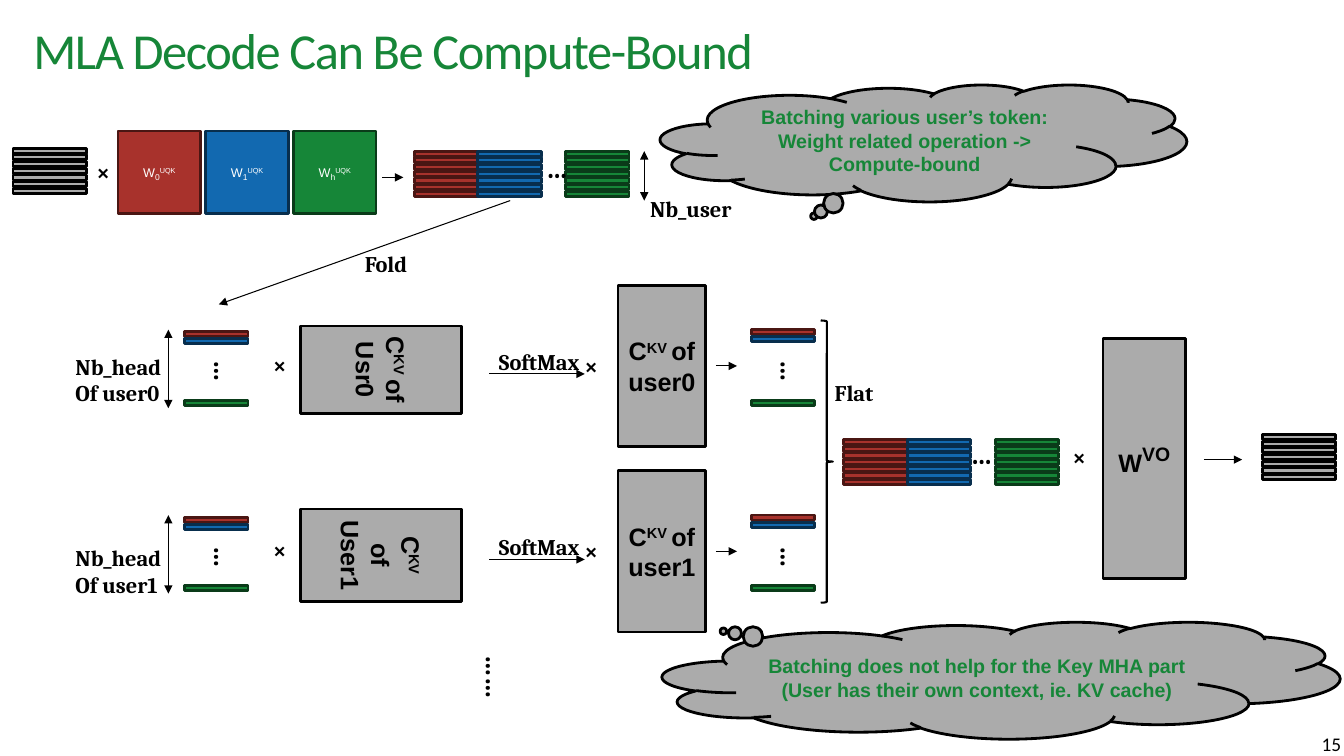
from pptx import Presentation
from pptx.dml.color import RGBColor
from pptx.enum import shapes, text
from pptx.oxml.ns import qn
from pptx.util import Inches, Pt
from lxml import etree

BLACK, WHITE, GREY = "000000", "FFFFFF", "ABABAB"
RED, BLUE, GREEN = "A8322C", "1269B0", "168638"
EDGES = {GREY: BLACK, RED: "4A1613", BLUE: "082E4D", GREEN: "0A3B19"}
CENTER = text.PP_ALIGN.CENTER
RECT = shapes.MSO_SHAPE.RECTANGLE
CLOUD = shapes.MSO_SHAPE.CLOUD_CALLOUT
BAR_H = 0.05
ROW_PITCH = 0.4 / 6


def rgb(color):
    return RGBColor.from_string(color)


def inches(*lengths):
    return [Inches(n) for n in lengths]


# Text: a paragraph is a list of runs (text, size, baseline in percent)
def write(tf, paragraphs, font, color, bold=False, align=None):
    for i, runs in enumerate(paragraphs):
        p = tf.paragraphs[0] if i == 0 else tf.add_paragraph()
        p.alignment = align
        for words, size, base in runs:
            r = p.add_run()
            r.text = words
            r.font.name, r.font.size, r.font.bold = font, Pt(size), bold
            r.font.color.rgb = rgb(color)
            if base:
                r.font._element.set("baseline", str(base * 1000))


def add_label(s, x, y, w, h, *lines, size=16, rotation=0):
    sp = s.shapes.add_textbox(*inches(x, y, w, h))
    sp.rotation = rotation
    sp.text_frame.word_wrap = w > 1
    write(sp.text_frame, [[(line, size, 0)] for line in lines], "Cambria", BLACK, True)


def add_times(s, x, y):
    add_label(s, x, y, 0.32, 0.37, "×")


def add_dots(s, x, y, rotation=0):
    add_label(s, x, y, 0.48, 0.44, "…", size=20, rotation=rotation)


# Filled shapes
def add_box(s, x, y, w, h, fill, paragraphs=(), color=BLACK, bold=True, kind=RECT):
    sp = s.shapes.add_shape(kind, *inches(x, y, w, h))
    sp.shadow.inherit = False
    sp.fill.solid()
    sp.fill.fore_color.rgb = rgb(fill)
    sp.line.color.rgb = rgb(EDGES[fill])
    sp.line.width = Pt(2)
    sp.text_frame.word_wrap = True
    sp.text_frame.vertical_anchor = text.MSO_ANCHOR.MIDDLE
    write(sp.text_frame, paragraphs, "Arial", color, bold, CENTER)
    return sp


def add_cloud(s, x, y, w, h, *lines):
    return add_box(s, x, y, w, h, GREY, [[(line, 14, 0)] for line in lines],
                   GREEN, kind=CLOUD)


def add_stack(s, x, y, w, color):
    for row in range(7):
        add_box(s, x, y + row * ROW_PITCH, w, BAR_H, color)


def add_head_stacks(s, x, y):
    for dx, color in ((0, RED), (0.63, BLUE), (1.5, GREEN)):
        add_stack(s, x + dx, y, 0.63, color)


def add_head_bars(s, x, y, green_y):
    for bar_y, color in ((y, RED), (y + 0.07, BLUE), (green_y, GREEN)):
        add_box(s, x, bar_y, 0.63, BAR_H, color)
    add_dots(s, x + 0.16, green_y - 0.47, 90)


# Lines
def add_arrow(s, x1, y1, x2, y2, both=False):
    c = s.shapes.add_connector(shapes.MSO_CONNECTOR.STRAIGHT, *inches(x1, y1, x2, y2))
    c.line.color.rgb = rgb(BLACK)
    c.line.width = Pt(0.75)
    ln = c.line._get_or_add_ln()
    for end in ("a:headEnd", "a:tailEnd") if both else ("a:tailEnd",):
        etree.SubElement(ln, qn(end)).set("type", "triangle")
    etree.SubElement(c._element.spPr, qn("a:effectLst"))


def add_title(s, words):
    sp = s.shapes.title
    sp.left, sp.top, sp.width, sp.height = inches(0.33, 0.19, 12.73, 0.68)
    tf = sp.text_frame
    tf.margin_left = tf.margin_right = tf.margin_top = tf.margin_bottom = 0
    tf.vertical_anchor = text.MSO_ANCHOR.MIDDLE
    tf.auto_size = text.MSO_AUTO_SIZE.NONE
    write(tf, [[(words, 36, 0)]], "Calibri", GREEN, align=text.PP_ALIGN.LEFT)
    p = tf.paragraphs[0]
    p.line_spacing = 0.9
    p.runs[0].font._element.set("spc", "-100")


def add_page_number(s, number):
    tf = s.shapes.add_textbox(*inches(12.47, 7.2, 0.93, 0.34)).text_frame
    tf.word_wrap = True
    tf.vertical_anchor = text.MSO_ANCHOR.BOTTOM
    write(tf, [[(number, 13.8, 0)]], "Calibri", BLACK, align=text.PP_ALIGN.RIGHT)


# Attention of one user; dy shifts the whole row
def add_user_row(s, user, dy, label_y, key_w, key_text):
    add_label(s, 0.65, label_y, 1.41, 0.64, "Nb_head", f"Of {user}")
    add_arrow(s, 1.67, 3.27 + dy, 1.67, 4.05 + dy, both=True)
    add_head_bars(s, 1.83, 3.29 + dy, 3.97 + dy)
    add_times(s, 2.61, 3.43 + dy)
    key = add_box(s, 3.78 - key_w / 2, 2.87 + dy, key_w, 1.6, GREY, key_text)
    key.rotation = 90
    add_arrow(s, 4.85, 3.71 + dy, 5.8, 3.71 + dy)
    add_label(s, 4.85, 3.4 + dy, 1.41, 0.37, "SoftMax")
    add_times(s, 5.7, 3.44 + dy)
    add_box(s, 6.13, 2.83 + dy, 0.87, 1.6, GREY,
            [[("C", 18, 0), ("KV ", 18, 30), (f"of {user}", 18, 0)]])
    add_arrow(s, 7.1, 3.63 + dy, 7.31, 3.63 + dy)
    add_head_bars(s, 7.45, 3.27 + dy, 3.97 + dy)


def main():
    prs = Presentation()
    prs.slide_width, prs.slide_height = inches(13.33, 7.5)
    s = prs.slides.add_slide(prs.slide_layouts[5])
    add_title(s, "MLA Decode Can Be Compute-Bound")
    add_page_number(s, "15")

    # Batched query projection
    add_stack(s, 0.13, 1.47, 0.73, GREY)
    add_times(s, 0.86, 1.52)
    for i, (head, color) in enumerate((("0", RED), ("1", BLUE), ("h", GREEN))):
        add_box(s, 1.17 + i * 0.87, 1.3, 0.82, 0.82, color,
                [[("W", 9, 0), (head, 10.5, -25), ("UQK", 9, 30)]], WHITE, False)
    add_arrow(s, 3.79, 1.76, 4, 1.76)
    add_head_stacks(s, 4.11, 1.5)
    add_dots(s, 5.32, 1.44)
    add_arrow(s, 6.39, 1.5, 6.39, 1.99, both=True)
    add_label(s, 6.35, 1.89, 1.41, 0.37, "Nb_user")
    add_arrow(s, 5.06, 1.99, 2.17, 3.02)
    add_label(s, 3.52, 2.43, 1.41, 0.37, "Fold")

    # Attention rows
    add_user_row(s, "user0", 0, 3.45, 0.87,
                 [[("C", 18, 0), ("KV ", 18, 30), ("of Usr0", 18, 0)]])
    add_user_row(s, "user1", 1.84, 5.35, 0.92,
                 [[("C", 18, 0), ("KV", 18, 30)], [("of User1", 18, 0)]])
    add_label(s, 4.55, 6.56, 0.75, 0.44, "……", size=20, rotation=90)

    # Flattened output projection
    brace = s.shapes.add_shape(shapes.MSO_SHAPE.RIGHT_BRACE, *inches(8.14, 3.18, 0.12, 2.8))
    brace.shadow.inherit = False
    brace.fill.background()
    brace.line.color.rgb = rgb(BLACK)
    brace.line.width = Pt(1.5)
    add_label(s, 8.18, 3.71, 1.41, 0.37, "Flat")
    add_head_stacks(s, 8.37, 4.36)
    add_dots(s, 9.53, 4.28)
    add_times(s, 10.54, 4.35)
    add_box(s, 10.94, 3.36, 0.82, 2.38, GREY, [[("W", 18, 0), ("VO", 24, 30)]])
    add_arrow(s, 11.94, 4.56, 12.32, 4.56)
    add_stack(s, 12.52, 4.31, 0.73, GREY)

    # Remarks
    add_cloud(s, 6.55, 0.84, 5.22, 1.16, "Batching various user’s token:",
              "Weight related operation -> Compute-bound")
    remark = add_cloud(s, 6.57, 6.17, 6.72, 1.16,
                       "Batching does not help for the Key MHA part",
                       "(User has their own context, ie. KV cache)")
    remark.adjustments[0], remark.adjustments[1] = -0.41, -0.42

    prs.save("out.pptx")


if __name__ == "__main__":
    main()
